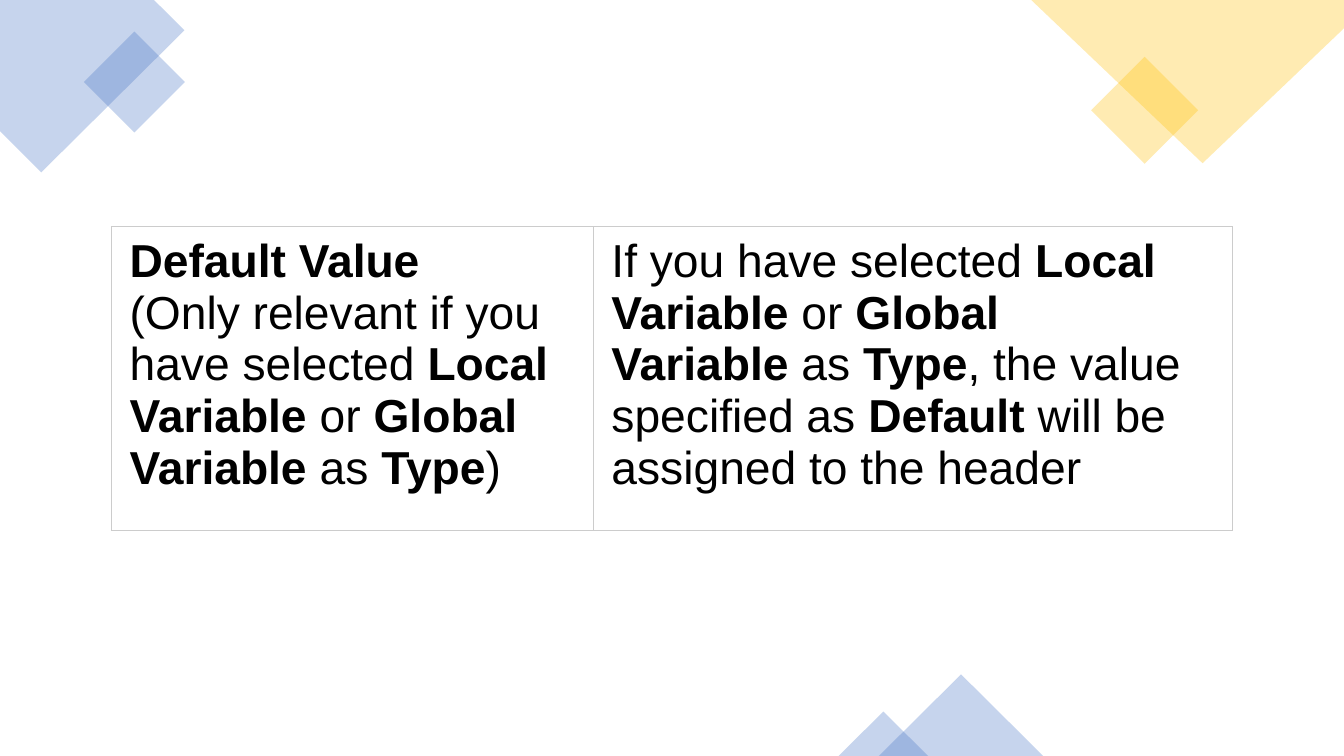
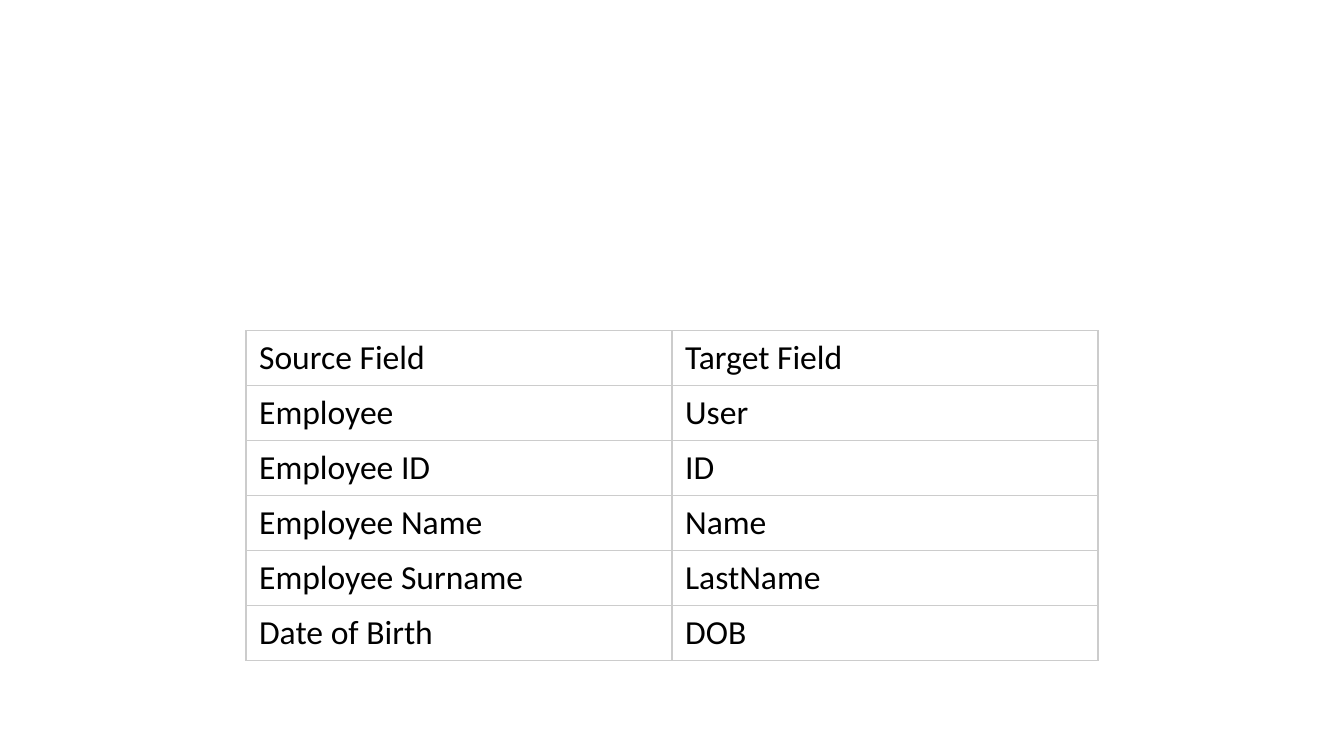
from dataclasses import dataclass

import lxml.etree
import pptx
import pptx.dml.color
import pptx.enum.shapes
import pptx.oxml.ns
import pptx.util

Pt = pptx.util.Pt
Color = pptx.dml.color.RGBColor
Shape = pptx.enum.shapes.MSO_SHAPE
qn = pptx.oxml.ns.qn

BLUE = Color(0x44, 0x72, 0xC4)
GOLD = Color(0xFF, 0xC0, 0x00)
BLACK = Color(0x00, 0x00, 0x00)
GREY = Color(0xCC, 0xCC, 0xCC)
OPACITY = 30
BORDER = 1
NBSP = chr(160)


@dataclass(frozen=True)
class Accent:
    kind: Shape
    left: float
    top: float
    width: float
    height: float
    color: Color


@dataclass(frozen=True)
class Corner:
    points: tuple[tuple[float, float], ...]
    color: Color


@dataclass(frozen=True)
class Grid:
    left: float
    top: float
    widths: tuple[float, ...]
    row_height: float
    margin_x: float
    margin_y: float
    font: str
    size: float
    rows: tuple[tuple[str, ...], ...]


CORNERS = (
    Corner(((0, 0), (110, 0), (131.8, 21.6), (29.5, 123.1), (0, 93.6)), BLUE),
    Corner(((736.6, 0), (960, 0), (960, 20.2), (859, 116.6)), GOLD),
)
ACCENTS = (
    Accent(Shape.DIAMOND, 60, 22.6, 72, 72, BLUE),
    Accent(Shape.DIAMOND, 779.4, 40.6, 76.4, 76.4, GOLD),
    Accent(Shape.ISOSCELES_TRIANGLE, 627.8, 481.7, 117.4, 58.3, BLUE),
    Accent(Shape.ISOSCELES_TRIANGLE, 599, 508.3, 64, 31.7, BLUE),
)

DEFAULT_VALUE = Grid(
    79.6, 162, (344.2, 456.5), 216.7, 13, 6.5, "Arial", 33,
    ((
        "*Default Value*\n(Only relevant if you have selected~*Local Variable*"
        "~or~*Global Variable*~as~*Type*)",
        "If you have selected~*Local Variable*~or~*Global Variable*~as~*Type*"
        ", the value specified as~*Default*~will be assigned to the header",
    ),),
)
FIELD_MAPPING = Grid(
    175.7, 236.2, (304.3, 304.3), 38.4, 9.4, 5, "Calibri", 24,
    (
        ("Source Field", "Target Field"),
        ("Employee", "User"),
        ("Employee ID", "ID"),
        ("Employee Name", "Name"),
        ("Employee Surname", "LastName"),
        ("Date of Birth", "DOB"),
    ),
)


def tint(sp, color: Color) -> None:
    sp.shadow.inherit = False
    sp.line.fill.background()
    sp.fill.solid()
    sp.fill.fore_color.rgb = color
    clr = sp.element.spPr.find(qn("a:solidFill")).find(qn("a:srgbClr"))
    lxml.etree.SubElement(clr, qn("a:alpha"), val=str(OPACITY * 1000))


def add_corner(s, corner: Corner) -> None:
    points = [(Pt(x), Pt(y)) for x, y in corner.points]
    builder = s.shapes.build_freeform(*points[0])
    builder.add_line_segments(points[1:], close=True)
    tint(builder.convert_to_shape(), corner.color)


def add_accent(s, accent: Accent) -> None:
    box = (accent.left, accent.top, accent.width, accent.height)
    tint(s.shapes.add_shape(accent.kind, *map(Pt, box)), accent.color)


def write_text(tf, text: str, font: str, size: float) -> None:
    for i, line in enumerate(text.replace("~", NBSP).split("\n")):
        p = tf.add_paragraph() if i else tf.paragraphs[0]
        p.font.name = font
        p.font.size = Pt(size)
        p.font.color.rgb = BLACK
        for j, part in enumerate(line.split("*")):
            if part:
                r = p.add_run()
                r.text = part
                r.font.bold = j % 2 == 1
                r.font.name = font
                r.font.size = Pt(size)
                r.font.color.rgb = BLACK


def set_borders(cell) -> None:
    props = cell._tc.get_or_add_tcPr()
    for i, side in enumerate(("lnL", "lnR", "lnT", "lnB")):
        ln = lxml.etree.Element(qn(f"a:{side}"), w=str(Pt(BORDER)))
        fill = lxml.etree.SubElement(ln, qn("a:solidFill"))
        lxml.etree.SubElement(fill, qn("a:srgbClr"), val=str(GREY))
        props.insert(i, ln)


def add_grid(s, grid: Grid) -> None:
    count = len(grid.rows)
    box = (grid.left, grid.top, sum(grid.widths), grid.row_height * count)
    table = s.shapes.add_table(count, len(grid.widths), *map(Pt, box)).table
    table.first_row = False
    table.horz_banding = False
    for column, width in zip(table.columns, grid.widths):
        column.width = Pt(width)
    for row, texts in zip(table.rows, grid.rows):
        row.height = Pt(grid.row_height)
        for cell, text in zip(row.cells, texts):
            cell.margin_left = cell.margin_right = Pt(grid.margin_x)
            cell.margin_top = cell.margin_bottom = Pt(grid.margin_y)
            cell.fill.background()
            set_borders(cell)
            write_text(cell.text_frame, text, grid.font, grid.size)


def main() -> None:
    prs = pptx.Presentation()
    prs.slide_width, prs.slide_height = Pt(960), Pt(540)
    blank = prs.slide_layouts[6]

    s = prs.slides.add_slide(blank)
    for corner in CORNERS:
        add_corner(s, corner)
    for accent in ACCENTS:
        add_accent(s, accent)
    add_grid(s, DEFAULT_VALUE)

    add_grid(prs.slides.add_slide(blank), FIELD_MAPPING)
    prs.save("out.pptx")


if __name__ == "__main__":
    main()
